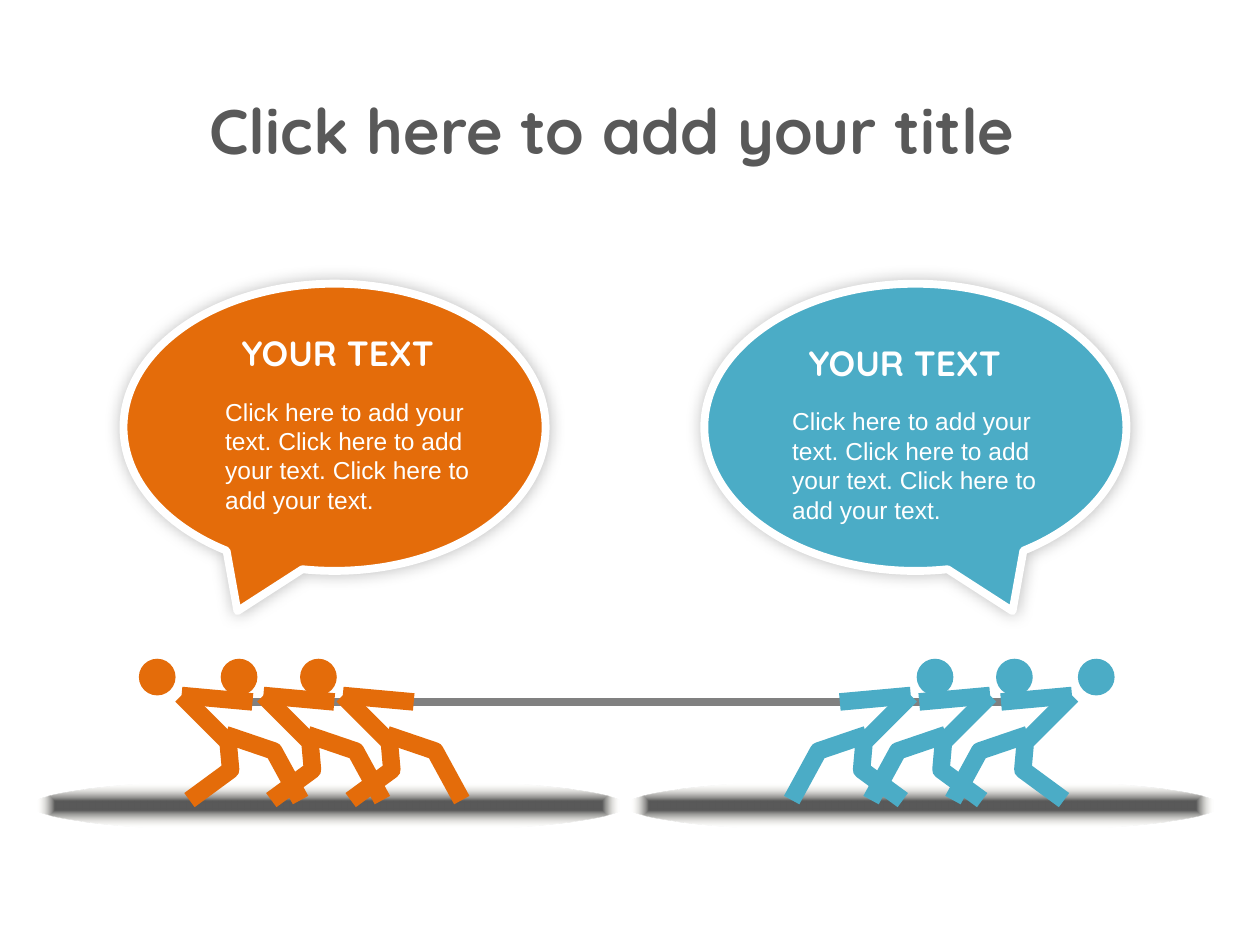
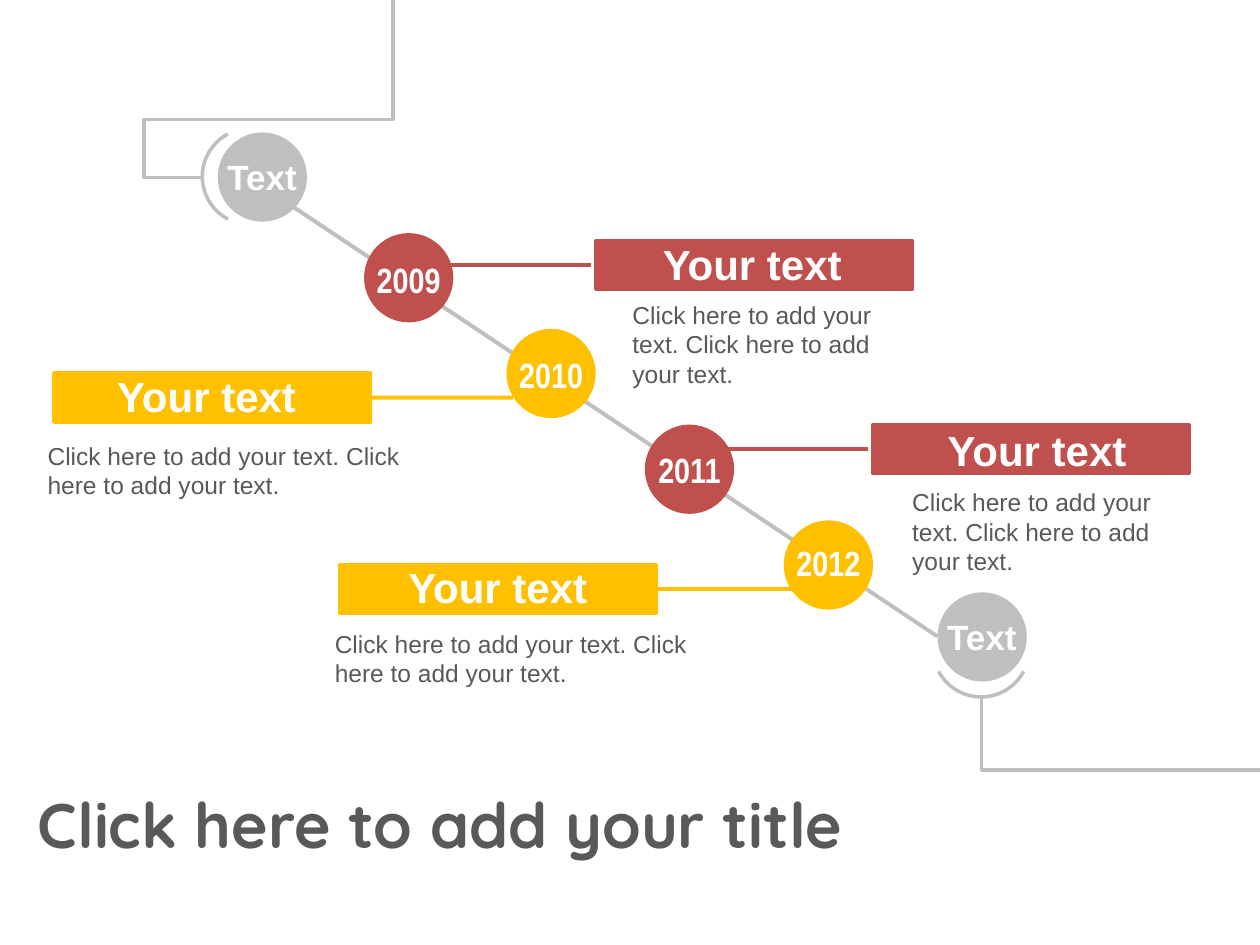
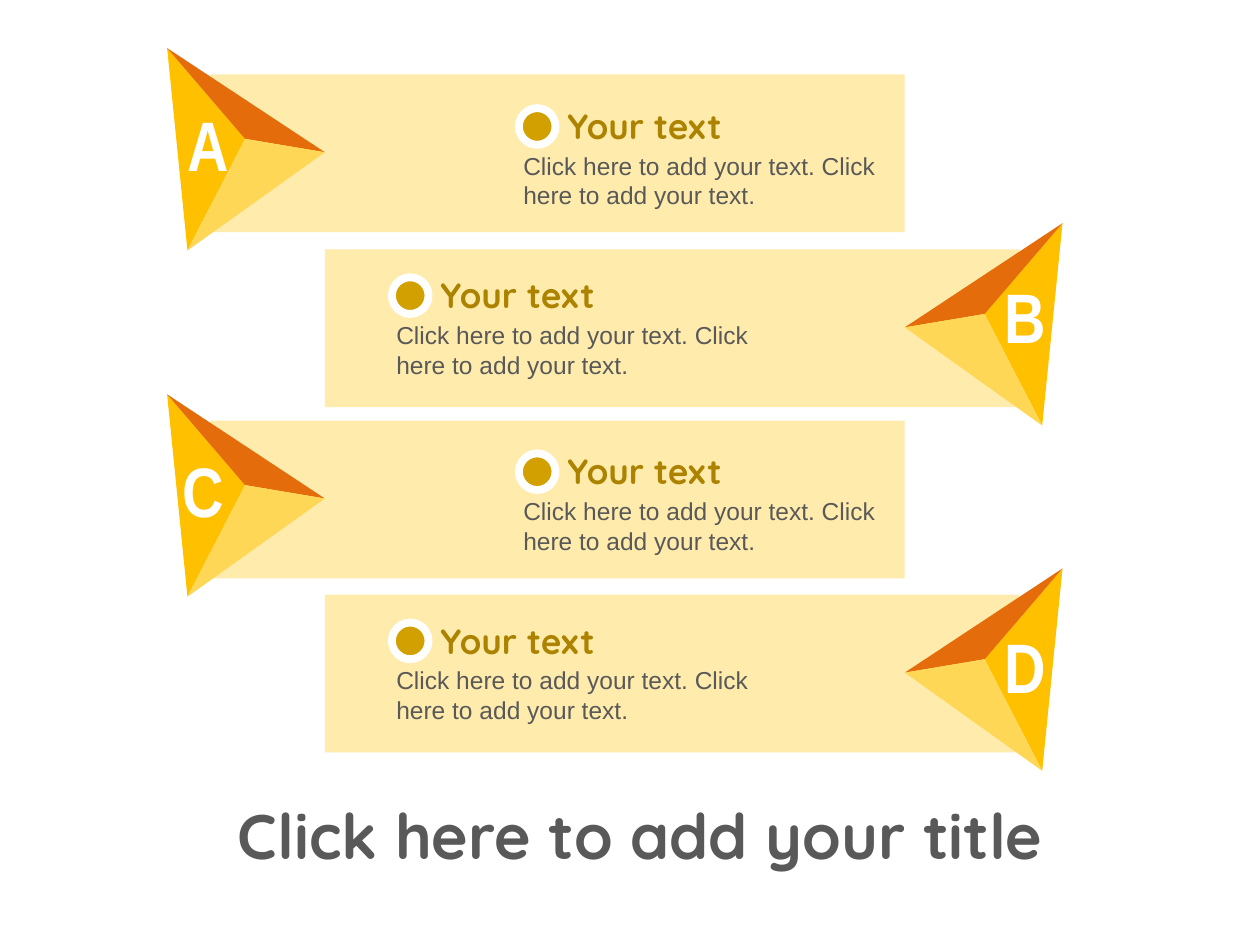
from dataclasses import dataclass

from pptx import Presentation
from pptx.dml.color import RGBColor
from pptx.enum.shapes import MSO_CONNECTOR, MSO_SHAPE
from pptx.enum.text import MSO_AUTO_SIZE, PP_ALIGN
from pptx.oxml import parse_xml
from pptx.oxml.ns import nsdecls, qn
from pptx.util import Cm, Pt


@dataclass(frozen=True)
class Theme:
    ink: str = "595959"
    white: str = "FFFFFF"
    rope: str = "808080"
    mist: str = "BFBFBF"
    sand: str = "EEECE1"
    orange: str = "E46C0A"
    blue: str = "4BACC6"
    red: str = "C0504D"
    gold: str = "FFC000"
    straw: str = "FFD757"
    cream: str = "FFEBAB"
    dot: str = "D2A000"
    bronze: str = "AC8300"
    plain: str = "Arial"
    slim: str = "Arial Narrow"
    round: str = "Quicksand"
    title: int = 36
    letter: int = 40
    bar: int = 24
    head: int = 20
    body: int = 14


T = Theme()

# Content (lengths in centimetres)
TITLE = "Click here to add your title"
SAY = "Click here to add your text."
TWICE = " ".join([SAY] * 2)
THRICE = " ".join([SAY] * 3)

# Tug of war: two teams, the second a mirror of the first
TUG_AXIS = 25.27
SHOULDERS = [3.66, 5.31, 6.91]
SHOULDER_Y = 14.02
TORSO = [(0, 0), (0.94, 0.94), (0.99, 1.5), (0.16, 2.11)]
LEG = [(0.89, 0.79), (1.86, 1.12), (2.4, 2.11)]
ARM = [(0, 0), (1.43, 0.13)]
HEAD = (-0.49, -0.37)
TEAMS = [  # colour, mirrored, bubble left, text left, text top
    (T.orange, False, 2.49, 4.22, 6.73),
    (T.blue, True, 14.2, 15.65, 6.93),
]
GROUNDS = [12.62, 0.64]

# Timeline
TRACKS = [
    [(7.92, 0), (7.92, 2.41), (2.9, 2.41), (2.9, 3.58), (4.06, 3.58)],
    [(25.4, 15.52), (19.79, 15.52), (19.79, 14.07)],
]
ENDS = [  # disc corner, arc centre, arc angles
    ((4.39, 2.67), (5.05, 3.56), (118, 242)),
    ((18.9, 11.94), (19.78, 13.08), (28, 152)),
]
YEARS = [  # year, colour, disc, label drop, bar, heading, body, body width
    ("2009", T.red, (7.34, 4.7), 0.55, (12.01, 4.85), (12.6, 4.88), (12.5, 5.92), 5.59),
    ("2010", T.gold, (10.21, 6.63), 0.53, (1.09, 7.52), (1.6, 7.54), (0.71, 8.76), 7.82),
    ("2011", T.red, (13, 8.56), 0.53, (17.6, 8.56), (18.34, 8.64), (18.14, 9.7), 5.77),
    ("2012", T.gold, (15.8, 10.49), 0.46, (6.86, 11.38), (7.47, 11.4), (6.5, 12.55), 7.82),
]
DISC = 1.8
BAR = (6.38, 0.99)

# Lettered cards; every second one is a mirror of the first
CARD_AXIS = 24.79
CARD = (4.24, 14, 3.18)  # left, width, height
CARDS = [  # letter, card top, letter corner, dot corner
    ("A", 1.5, (3.33, 2.24), (10.46, 2.18)),
    ("B", 5.03, (19.81, 5.72), (7.9, 5.59)),
    ("C", 8.48, (3.23, 9.22), (10.46, 9.14)),
    ("D", 11.99, (19.81, 12.78), (7.9, 12.55)),
]
PEAK, TIP, FOOT, HEART = (3.37, -0.53), (6.55, 1.57), (3.78, 3.55), (4.94, 1.3)
FACETS = [
    (T.gold, [HEART, FOOT, PEAK]),
    (T.orange, [HEART, PEAK, TIP]),
    (T.straw, [HEART, TIP, FOOT]),
]


# Drawing helpers
def paint(shape, fill=None, line=None, width=0):
    shape.shadow.inherit = False
    if fill:
        shape.fill.solid()
        shape.fill.fore_color.rgb = RGBColor.from_string(fill)
    else:
        shape.fill.background()
    if line:
        shape.line.color.rgb = RGBColor.from_string(line)
        shape.line.width = Pt(width)
    else:
        shape.line.fill.background()
    return shape


def form(on, kind, x, y, w, h, **look):
    return paint(on.add_shape(kind, Cm(x), Cm(y), Cm(w), Cm(h)), **look)


def disc(on, x, y, size, **look):
    return form(on, MSO_SHAPE.OVAL, x, y, size, size, **look)


def trace(on, points, close=False, **look):
    spots = [(Cm(x), Cm(y)) for x, y in points]
    pen = on.build_freeform(*spots[0])
    pen.add_line_segments(spots[1:], close=close)
    return paint(pen.convert_to_shape(), **look)


def link(on, start, end, color, width):
    line = on.add_connector(MSO_CONNECTOR.STRAIGHT, *(Cm(v) for v in start + end))
    line.line.color.rgb = RGBColor.from_string(color)
    line.line.width = Pt(width)
    line._element.spPr.append(parse_xml(f'<a:effectLst {nsdecls("a")}/>'))
    return line


def write(on, text, x, y, w, h, size=T.body, font=T.plain, color=T.ink,
          bold=True, center=True, tight=True):
    frame = on.add_textbox(Cm(x), Cm(y), Cm(w), Cm(h)).text_frame
    frame.word_wrap = True
    frame.auto_size = MSO_AUTO_SIZE.SHAPE_TO_FIT_TEXT
    frame.text = text
    para = frame.paragraphs[0]
    para.alignment = PP_ALIGN.CENTER if center else PP_ALIGN.LEFT
    if tight:
        para.line_spacing = 0.8
    face = para.runs[0].font
    face.size, face.name, face.bold = Pt(size), font, bold
    face.color.rgb = RGBColor.from_string(color)


def prose(on, text, x, y, w, h, color=T.ink):
    write(on, text, x, y, w, h, color=color, bold=False, center=False, tight=False)


def title(on, x, y, w, center=True):
    write(on, TITLE, x, y, w, 1.8, T.title, T.round, center=center, tight=False)


def flip(points, axis, turned):
    return [(axis - x if turned else x, y) for x, y in points]


def shift(points, dx, dy):
    return [(x + dx, y + dy) for x, y in points]


# Slide 1: tug of war
def fade(shape):
    grad = parse_xml(
        f'<a:gradFill {nsdecls("a")} rotWithShape="1"><a:gsLst>'
        f'<a:gs pos="16000"><a:srgbClr val="{T.ink}"/></a:gs>'
        f'<a:gs pos="78000"><a:srgbClr val="{T.sand}"><a:alpha val="0"/></a:srgbClr></a:gs>'
        '</a:gsLst><a:path path="shape">'
        '<a:fillToRect l="50000" t="50000" r="50000" b="50000"/></a:path></a:gradFill>')
    props = shape._element.spPr
    props.replace(props.find(qn("a:noFill")), grad)


def glow(shape):
    shape._element.spPr.find(qn("a:effectLst")).append(parse_xml(
        f'<a:outerShdw {nsdecls("a")} blurRad="{Pt(9)}" dist="0" dir="0" algn="ctr">'
        '<a:srgbClr val="000000"><a:alpha val="26000"/></a:srgbClr></a:outerShdw>'))


def team(on, color, turned):
    for x in SHOULDERS:
        torso, leg, arm, head = (
            flip(shift(part, x, SHOULDER_Y), TUG_AXIS, turned)
            for part in (TORSO, LEG, ARM, [HEAD]))
        for limb in (torso, leg):
            trace(on, limb, line=color, width=10)
        link(on, *arm, color, 10)
        (mid, level), size = head[0], 0.74
        disc(on, mid - size / 2, level - size / 2, size, fill=color)


def tug(on):
    for x in GROUNDS:
        fade(form(on, MSO_SHAPE.OVAL, x, 15.67, 11.96, 1.14))
    link(on, (4.98, 14.15), (20.24, 14.15), T.rope, 4.5)
    for color, turned, *_ in TEAMS:
        team(on.add_group_shape().shapes, color, turned)
    for color, turned, left, x, y in TEAMS:
        bubble = form(on, MSO_SHAPE.OVAL_CALLOUT, left, 5.72, 8.51, 5.79,
                      fill=color, line=T.white, width=4.5)
        bubble.adjustments[0] = 0.23 if turned else -0.23
        bubble.adjustments[1] = 0.64
        glow(bubble)
        write(on, "YOUR TEXT", x, y, 5.18, 0.94, T.head, T.round, T.white)
        prose(on, THRICE, x + 0.07, y + 1.14, 5.69, 2.64, T.white)
    title(on, 3.71, 1.73, 17.25)


# Slide 2: timeline
def times(on):
    for track in TRACKS:
        trace(on, track, line=T.mist, width=2)
    for (x, y), (mid, level), span in ENDS:
        disc(on, x, y, DISC, fill=T.mist)
        r = 0.97
        arc = form(on, MSO_SHAPE.ARC, mid - r, level - r, 2 * r, 2 * r,
                   line=T.mist, width=2)
        for i, angle in enumerate(span):
            arc.adjustments[i] = angle * 0.6  # 60000 units to a degree
    link(on, (5.94, 4.19), (18.9, 12.83), T.mist, 2.25)

    for year, color, (x, y), drop, (left, top), head, body, width in YEARS:
        disc(on, x, y, DISC, fill=color)
        bar = form(on, MSO_SHAPE.RECTANGLE, left, top, *BAR,
                   fill=color, line=color, width=2)
        level, right = top + BAR[1] / 2, left + BAR[0]
        if left > x:
            link(on, (left - 2.97, level), (left - 0.1, level), color, 2.25)
        else:
            lead = link(on, (right, level), (right + 2.87, level), color, 2.25)
            lead.begin_connect(bar, 3)
        write(on, year, x + DISC / 2 - 0.94, y + drop, 1.88, 0.94,
              T.head, T.slim, T.white)
        write(on, "Your text", *head, 5.13, 1.07, T.bar, color=T.white)
        prose(on, TWICE, *body, width, 1.45)
    for (x, y), *_ in ENDS:
        write(on, "Text", x + DISC / 2 - 1.07, y + 0.51, 2.13, 0.94,
              T.head, color=T.white)
    title(on, 0.51, 15.72, 17.58, center=False)


# Slide 3: lettered cards
def cards(on):
    left, wide, high = CARD
    for i, (letter, top, spot, (x, y)) in enumerate(CARDS):
        turned = i % 2 == 1
        part = on.add_group_shape().shapes
        form(part, MSO_SHAPE.RECTANGLE, CARD_AXIS - left - wide if turned else left,
             top, wide, high, fill=T.cream)
        for color, points in FACETS:
            trace(part, flip(shift(points, 0, top), CARD_AXIS, turned),
                  close=True, fill=color)
        write(part, letter, *spot, 1.73, 1.63, T.letter, T.slim, T.white)
        disc(on, x, y, 0.74, fill=T.dot, line=T.white, width=4.5)
        prose(on, TWICE, x - 0.16, y + 0.74, 7.9, 1.45)
        write(on, "Your text", x + 0.73, y - 0.03, 5.21, 0.94,
              T.head, T.round, T.bronze, center=False)
    title(on, 4.09, 15.93, 17.63)


def main():
    deck = Presentation()
    deck.slide_width, deck.slide_height = Cm(25.4), Cm(19.05)
    for draw in (tug, times, cards):
        draw(deck.slides.add_slide(deck.slide_layouts[6]).shapes)
    deck.save("out.pptx")


if __name__ == "__main__":
    main()
